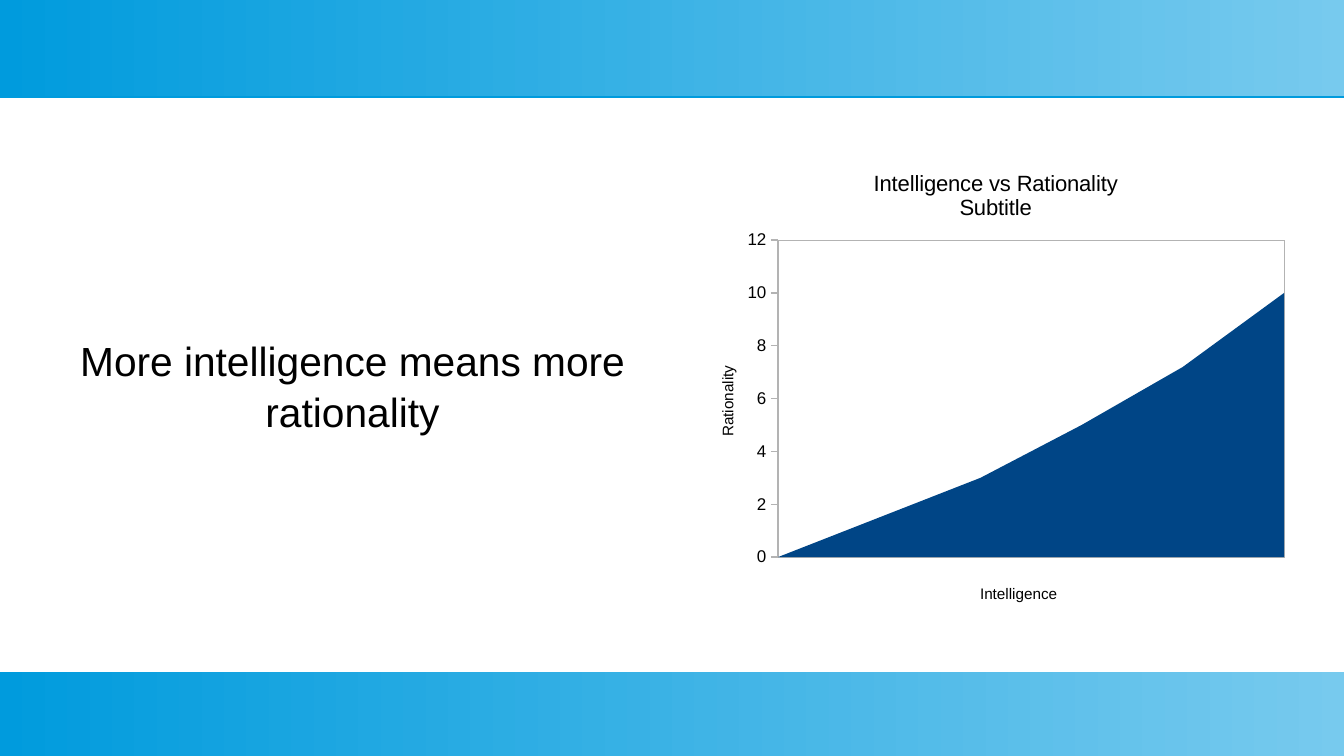
from lxml import etree
from pptx import Presentation
from pptx.chart.data import CategoryChartData
from pptx.dml.color import RGBColor
from pptx.enum.chart import XL_CHART_TYPE, XL_TICK_LABEL_POSITION, XL_TICK_MARK
from pptx.enum.shapes import MSO_SHAPE
from pptx.enum.text import MSO_ANCHOR, PP_ALIGN
from pptx.oxml import parse_xml
from pptx.oxml.ns import nsdecls, qn
from pptx.util import Pt

AREA = XL_CHART_TYPE.AREA
TICK_OUT, TICK_NONE = XL_TICK_MARK.OUTSIDE, XL_TICK_MARK.NONE
LABELS_LOW = XL_TICK_LABEL_POSITION.LOW
RECTANGLE = MSO_SHAPE.RECTANGLE
MIDDLE, CENTER = MSO_ANCHOR.MIDDLE, PP_ALIGN.CENTER
PX = 7495
FONT = "Arial"
COLORS = {"sky": "77CAEE", "blue": "009BDD", "navy": "004586",
          "gray": "B3B3B3", "black": "000000"}
CHART_BOX = (688, 144, 609, 481)


def add_line(para, text, size):
    para.alignment = CENTER
    span = para.add_run()
    span.text = text
    span.font.size = Pt(size)
    span.font.bold = False
    span.font.name = FONT
    span.font.color.rgb = RGBColor.from_string(COLORS["black"])


def place(part, index, left, top, width=None, height=None):
    for old in part.findall(qn("c:layout")):
        part.remove(old)
    chart_left, chart_top, chart_width, chart_height = CHART_BOX
    layout = parse_xml(f'<c:layout {nsdecls("c")}><c:manualLayout/></c:layout>')
    settings = [("xMode", "edge"), ("yMode", "edge"),
                ("x", round((left - chart_left) / chart_width, 3)),
                ("y", round((top - chart_top) / chart_height, 3))]
    if width:
        settings.insert(0, ("layoutTarget", "inner"))
        settings += [("w", round(width / chart_width, 3)),
                     ("h", round(height / chart_height, 3))]
    for name, value in settings:
        etree.SubElement(layout[0], qn(f"c:{name}")).set("val", str(value))
    part.insert(index, layout)


deck = Presentation()
deck.slide_width, deck.slide_height = 1344 * PX, 756 * PX
page = deck.slides.add_slide(deck.slide_layouts[6])

for top, height in ((0, 96), (672, 84)):
    band = page.shapes.add_shape(RECTANGLE, 0, top * PX, 1344 * PX, height * PX)
    band.line.fill.background()
    band.fill.gradient()
    band.fill.gradient_angle = 180
    for stop, name in zip(band.fill.gradient_stops, ("sky", "blue")):
        stop.color.rgb = RGBColor.from_string(COLORS[name])
    band.shadow.inherit = False
    band.element.spPr.find(qn("a:effectLst")).append(parse_xml(
        f'<a:outerShdw {nsdecls("a")} blurRad="0" dist="11430" dir="5400000" '
        f'algn="ctr" rotWithShape="0"><a:srgbClr val="{COLORS["blue"]}"/></a:outerShdw>'))

box = page.shapes.add_textbox(48 * PX, 144 * PX, 609 * PX, 481 * PX)
frame = box.text_frame
frame.word_wrap = True
frame.vertical_anchor = MIDDLE
frame.margin_left = frame.margin_right = frame.margin_top = frame.margin_bottom = 0
para = frame.paragraphs[0]
para.space_before = Pt(10.6)
para.line_spacing = 1.05
add_line(para, "More intelligence means more rationality", 24)

data = CategoryChartData()
data.categories = ["1", "2", "3", "4", "5", "6"]
data.add_series("Series 1", (0, 1.5, 3, 5, 7.2, 10))
chart = page.shapes.add_chart(AREA, *(length * PX for length in CHART_BOX), data).chart
chart.has_legend = False
chart.font.name = FONT
chart.font.size = Pt(10)
chart.font.color.rgb = RGBColor.from_string(COLORS["black"])
plot = chart.plots[0]
plot.vary_by_categories = False
series = plot.series[0]
series.format.fill.solid()
series.format.fill.fore_color.rgb = RGBColor.from_string(COLORS["navy"])
series.format.line.fill.background()

rationality, intelligence = chart.value_axis, chart.category_axis
rationality.minimum_scale, rationality.maximum_scale = 0, 12
rationality.major_unit = 2
rationality.has_major_gridlines = False
rationality.major_tick_mark, rationality.minor_tick_mark = TICK_OUT, TICK_NONE
rationality.tick_label_position = LABELS_LOW
rationality.tick_labels.number_format = "General"
rationality.tick_labels.number_format_is_linked = False
rationality.tick_labels.font.size = Pt(10)
rationality.format.line.color.rgb = RGBColor.from_string(COLORS["gray"])
rationality.format.line.width = 0
intelligence.has_major_gridlines = False
intelligence.visible = False

chart.has_title = True
title_frame = chart.chart_title.text_frame
add_line(title_frame.paragraphs[0], "Intelligence vs Rationality", 13)
add_line(title_frame.add_paragraph(), "Subtitle", 13)
for axis, text in ((intelligence, "Intelligence"), (rationality, "Rationality")):
    axis.has_title = True
    add_line(axis.axis_title.text_frame.paragraphs[0], text, 9)

chart_title, bottom_title, side_title = chart.element.xpath(".//c:title")
side_title.find(".//" + qn("a:bodyPr")).set("rot", "-5400000")
place(chart_title, 1, 870, 166)
place(bottom_title, 1, 977, 581)
place(side_title, 1, 715, 363)

plot_area = chart.element.xpath(".//c:plotArea")[0]
place(plot_area, 0, 778, 240, 506, 317)
for crossing in plot_area.iter(qn("c:crossBetween")):
    crossing.set("val", "midCat")
plot_area.append(parse_xml(
    f'<c:spPr {nsdecls("c", "a")}><a:noFill/><a:ln w="0"><a:solidFill>'
    f'<a:srgbClr val="{COLORS["gray"]}"/></a:solidFill></a:ln></c:spPr>'))

deck.save("out.pptx")
